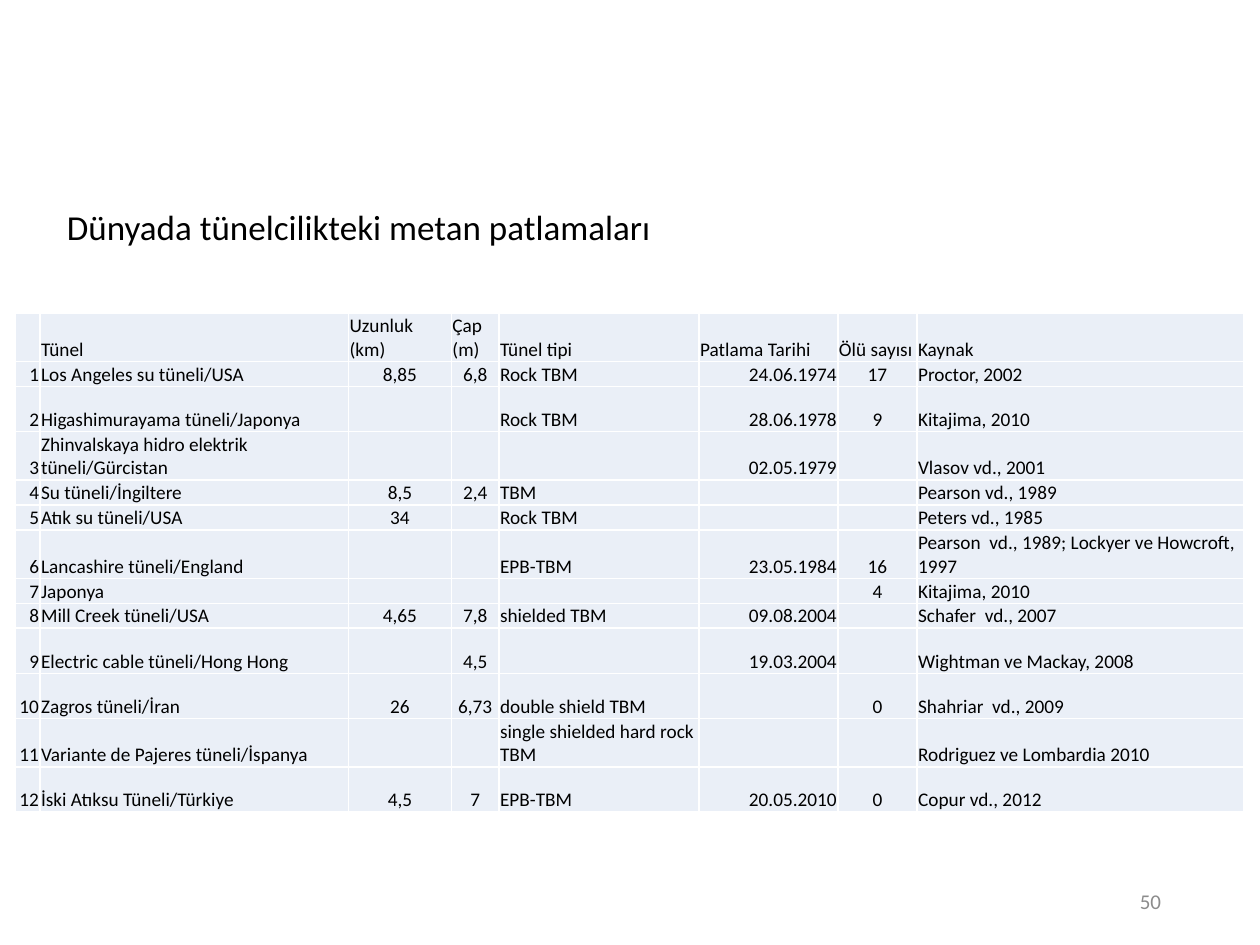
import pptx
import pptx.dml.color
import pptx.enum.text
import pptx.oxml.ns
import pptx.util
from lxml import etree

Pt = pptx.util.Pt
RGBColor = pptx.dml.color.RGBColor
ALIGN = pptx.enum.text.PP_ALIGN
ANCHOR = pptx.enum.text.MSO_ANCHOR
qn = pptx.oxml.ns.qn

BLACK = RGBColor(0x00, 0x00, 0x00)
WHITE = RGBColor(0xFF, 0xFF, 0xFF)
GREY = RGBColor(0x8C, 0x8C, 0x8C)
PALE_BLUE = RGBColor(0xEA, 0xEF, 0xF7)

FONT = "Calibri"
CELL_SIZE = 11
BORDER_WIDTH = 1
CELL_FORMAT = {
    "vertical_anchor": ANCHOR.BOTTOM,
    "margin_left": Pt(0.6),
    "margin_right": Pt(0.6),
    "margin_top": Pt(0.6),
    "margin_bottom": Pt(0),
}

COLUMN_WIDTHS = [14, 176.3, 58.8, 27.2, 114.3, 79.4, 45.2, 186.9]
COLUMN_ALIGNMENTS = [ALIGN.RIGHT, ALIGN.LEFT, ALIGN.CENTER, ALIGN.CENTER,
                     ALIGN.LEFT, ALIGN.RIGHT, ALIGN.CENTER, ALIGN.LEFT]
LOW_ROW, HIGH_ROW = 13, 25.8
LOW_ROWS = {1, 4, 5, 7, 8}

EXPLOSIONS = [
    ["", "Tünel", "Uzunluk (km)", "Çap (m)", "Tünel tipi", "Patlama Tarihi", "Ölü sayısı", "Kaynak"],
    ["1", "Los Angeles su tüneli/USA", "8,85", "6,8", "Rock TBM", "24.06.1974", "17", "Proctor, 2002"],
    ["2", "Higashimurayama tüneli/Japonya", "", "", "Rock TBM", "28.06.1978", "9", "Kitajima, 2010"],
    ["3", "Zhinvalskaya hidro elektrik tüneli/Gürcistan", "", "", "", "02.05.1979", "", "Vlasov vd., 2001"],
    ["4", "Su tüneli/İngiltere", "8,5", "2,4", "TBM", "", "", "Pearson vd., 1989"],
    ["5", "Atık su tüneli/USA", "34", "", "Rock TBM", "", "", "Peters vd., 1985"],
    ["6", "Lancashire tüneli/England", "", "", "EPB-TBM", "23.05.1984", "16",
     "Pearson  vd., 1989; Lockyer ve Howcroft, 1997"],
    ["7", "Japonya", "", "", "", "", "4", "Kitajima, 2010"],
    ["8", "Mill Creek tüneli/USA", "4,65", "7,8", "shielded TBM", "09.08.2004", "", "Schafer  vd., 2007"],
    ["9", "Electric cable tüneli/Hong Hong", "", "4,5", "", "19.03.2004", "", "Wightman ve Mackay, 2008"],
    ["10", "Zagros tüneli/İran", "26", "6,73", "double shield TBM", "", "0", "Shahriar  vd., 2009"],
    ["11", "Variante de Pajeres tüneli/İspanya", "", "", "single shielded hard rock TBM", "", "",
     "Rodriguez ve Lombardia 2010"],
    ["12", "İski Atıksu Tüneli/Türkiye", "4,5", "7", "EPB-TBM", "20.05.2010", "0", "Copur vd., 2012"],
]


def set_attributes(target, values):
    for name, value in values.items():
        setattr(target, name, value)


def add_span(para, text, size, color):
    span = para.add_run()
    span.text = text
    set_attributes(span.font, {"name": FONT, "size": Pt(size), "bold": False})
    span.font.color.rgb = color


def add_heading(page, text):
    """Put the heading in the body placeholder, without a bullet."""
    body = page.placeholders[1]
    set_attributes(body, {"left": Pt(31), "top": Pt(116.6), "width": Pt(648), "height": Pt(37.4)})
    para = body.text_frame.paragraphs[0]
    set_attributes(para, {"line_spacing": 0.9, "space_before": Pt(0)})
    properties = para._p.get_or_add_pPr()
    set_attributes(body.text_frame, {"word_wrap": True, "vertical_anchor": ANCHOR.TOP})
    properties.set("marL", "0")
    properties.set("indent", "0")
    etree.SubElement(properties, qn("a:buNone"))
    add_span(para, text, 20, BLACK)


def add_borders(cell):
    properties = cell._tc.get_or_add_tcPr()
    for side in ("a:lnL", "a:lnR", "a:lnT", "a:lnB"):
        line = etree.SubElement(properties, qn(side), w=str(Pt(BORDER_WIDTH)))
        fill = etree.SubElement(line, qn("a:solidFill"))
        etree.SubElement(fill, qn("a:srgbClr"), val=str(WHITE))


def fill_cell(cell, text, alignment):
    set_attributes(cell, CELL_FORMAT)
    add_borders(cell)
    cell.fill.solid()
    cell.fill.fore_color.rgb = PALE_BLUE
    para = cell.text_frame.paragraphs[0]
    para.alignment = alignment
    if text:
        add_span(para, text, CELL_SIZE, BLACK)
    else:
        # The end mark keeps an empty cell from growing its row.
        etree.SubElement(para._p, qn("a:endParaRPr"), sz=str(CELL_SIZE * 100))


def add_explosion_table(page):
    heights = [LOW_ROW if index in LOW_ROWS else HIGH_ROW for index in range(len(EXPLOSIONS))]
    frame = page.shapes.add_table(len(heights), len(COLUMN_WIDTHS), Pt(8.9), Pt(178.8),
                                  Pt(sum(COLUMN_WIDTHS)), Pt(sum(heights)))
    table = frame.table
    set_attributes(table, {"first_row": False, "horz_banding": False})
    for column, width in zip(table.columns, COLUMN_WIDTHS):
        column.width = Pt(width)
    for index, (row, height, texts) in enumerate(zip(table.rows, heights, EXPLOSIONS)):
        row.height = Pt(height)
        for cell, text, alignment in zip(row.cells, texts, COLUMN_ALIGNMENTS):
            fill_cell(cell, text, alignment if index else ALIGN.LEFT)


def add_page_number(page, number):
    box = page.shapes.add_textbox(Pt(508.5), Pt(500.5), Pt(162), Pt(28.8))
    set_attributes(box.text_frame, {"word_wrap": True, "vertical_anchor": ANCHOR.MIDDLE})
    para = box.text_frame.paragraphs[0]
    para.alignment = ALIGN.RIGHT
    add_span(para, number, 12, GREY)


def main():
    deck = pptx.Presentation()
    set_attributes(deck, {"slide_width": Pt(720), "slide_height": Pt(540)})
    page = deck.slides.add_slide(deck.slide_layouts[1])
    title = page.shapes.title.element
    title.getparent().remove(title)
    add_heading(page, "Dünyada tünelcilikteki metan patlamaları")
    add_explosion_table(page)
    add_page_number(page, "50")
    deck.save("out.pptx")


if __name__ == "__main__":
    main()
